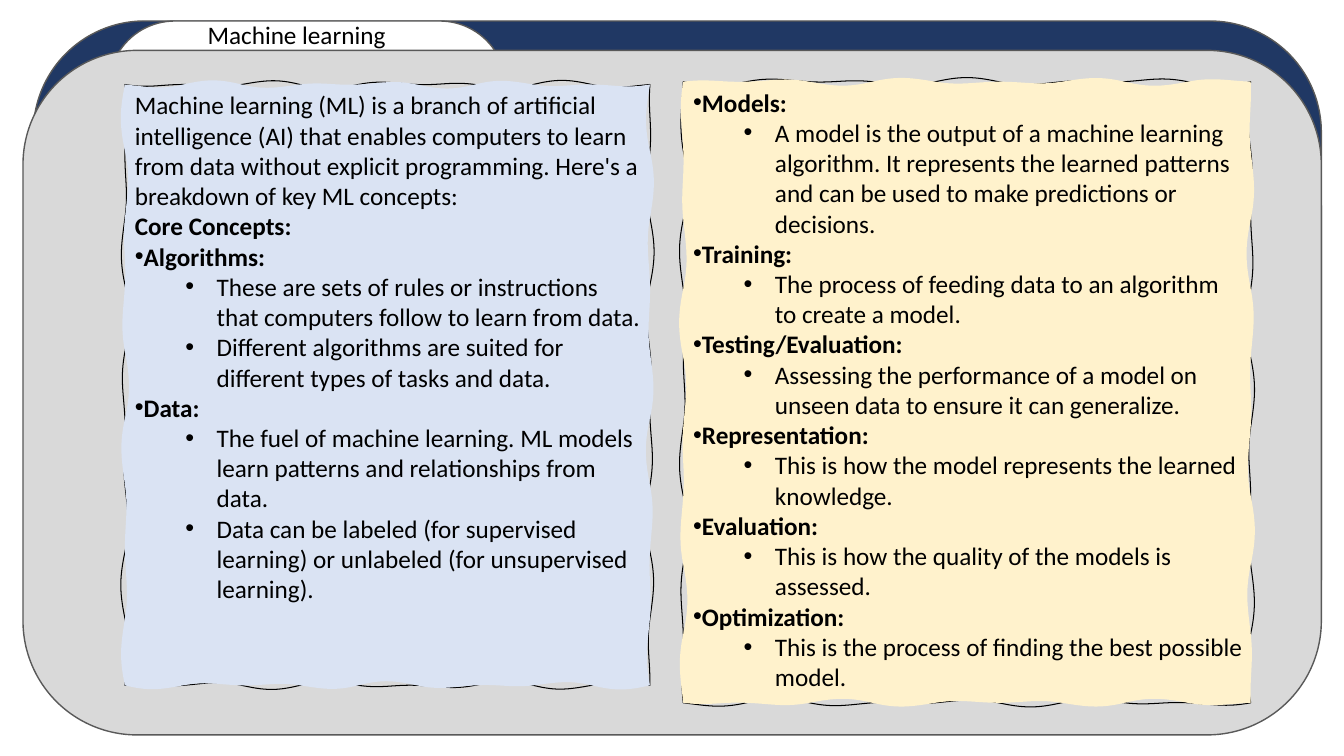
"""Build the machine learning slide with two torn-paper panels."""
from copy import deepcopy
from math import sin

from lxml.etree import SubElement
from pptx import Presentation
from pptx.dml.color import RGBColor
from pptx.enum.shapes import MSO_SHAPE
from pptx.enum.text import MSO_ANCHOR, PP_ALIGN
from pptx.oxml.ns import qn
from pptx.util import Cm, Pt

BLACK = RGBColor(0, 0, 0)
WHITE = RGBColor(255, 255, 255)
NAVY = RGBColor(0x20, 0x38, 0x64)
SILVER = RGBColor(0xD9, 0xD9, 0xD9)
GRAY = RGBColor(0x59, 0x59, 0x59)
BLUE = RGBColor(0xDA, 0xE3, 0xF3)
CREAM = RGBColor(0xFF, 0xF2, 0xCC)

TITLE = "Machine learning"
CARDS = [
    ((0.84, 0.53, 32.46, 16.84), NAVY),
    ((2.74, 0.53, 10.01, 17.93), WHITE),
    ((0.58, 1.27, 32.72, 17.25), SILVER),
]
BASICS = [
    ("plain", "Machine learning (ML) is a branch of artificial intelligence (AI) that enables "
              "computers to learn from data without explicit programming. Here's a breakdown "
              "of key ML concepts:"),
    ("bold", "Core Concepts:"),
    ("head", "Algorithms:"),
    ("item", "These are sets of rules or instructions that computers follow to learn from data."),
    ("item", "Different algorithms are suited for different types of tasks and data."),
    ("head", "Data:"),
    ("item", "The fuel of machine learning. ML models learn patterns and relationships from data."),
    ("item", "Data can be labeled (for supervised learning) or unlabeled "
             "(for unsupervised learning)."),
]
STEPS = [
    ("head", "Models:"),
    ("item", "A model is the output of a machine learning algorithm. It represents the learned "
             "patterns and can be used to make predictions or decisions."),
    ("head", "Training:"),
    ("item", "The process of feeding data to an algorithm to create a model."),
    ("head", "Testing/Evaluation:"),
    ("item", "Assessing the performance of a model on unseen data to ensure it can generalize."),
    ("head", "Representation:"),
    ("item", "This is how the model represents the learned knowledge."),
    ("head", "Evaluation:"),
    ("item", "This is how the quality of the models is assessed."),
    ("head", "Optimization:"),
    ("item", "This is the process of finding the best possible model."),
]
PANELS = [
    ((3.15, 2.13, 13.23, 15.14), BLUE, BASICS),
    ((17.22, 2.06, 14.3, 15.65), CREAM, STEPS),
]
WAVE = 0.15
PARTS = 9


def write(para, text, bold=False, bullet=False, level=0, align=PP_ALIGN.LEFT):
    run = para.add_run()
    run.text = text
    run.font.name, run.font.size, run.font.bold = "Calibri", Pt(18), bold
    run.font.color.rgb = BLACK
    para.alignment = align
    para.level = level
    if bullet:
        props = para._p.get_or_add_pPr()
        props.set("marL", str(Cm(2.06 * level)))
        props.set("indent", str(Cm(-0.79 * level)))
        SubElement(props, qn("a:buFont")).set("typeface", "Arial")
        SubElement(props, qn("a:buChar")).set("char", "•")


def fray(track, width, height, seed):
    for node in list(track)[1:]:
        track.remove(node)
    ends = [(0, 0), (width, 0), (width, height), (0, height), (0, 0)]
    for side in range(4):
        (x, y), (to_x, to_y) = ends[side:side + 2]
        for step in range(PARTS):
            turn = seed + 2.4 * (side * PARTS + step)
            curve = SubElement(track, qn("a:cubicBezTo"))
            for part, off in ((0.4, -sin(turn - 2.4)), (0.6, sin(turn)), (1, 0)):
                ratio = (step + part) / PARTS
                shift = WAVE * off
                spot = SubElement(curve, qn("a:pt"))
                spot.set("x", str(Cm(x + (to_x - x) * ratio + shift * (side % 2))))
                spot.set("y", str(Cm(y + (to_y - y) * ratio + shift * (1 - side % 2))))
    SubElement(track, qn("a:close"))


def panel(shapes, box, color, lines, seed):
    left, top, width, height = box
    right, base = left + width, top + height
    pen = shapes.build_freeform(Cm(left), Cm(top), scale=1.0)
    pen.add_line_segments([(Cm(right), Cm(top)), (Cm(right), Cm(base)), (Cm(left), Cm(base))])
    page = pen.convert_to_shape()
    page.shadow.inherit = False
    page.fill.solid()
    page.fill.fore_color.rgb = color
    page.line.color.rgb = BLACK
    page.line.width = Pt(0.75)
    edge = next(page._element.iter(qn("a:path")))
    body = deepcopy(edge)
    edge.addnext(body)
    edge.set("fill", "none")
    body.set("stroke", "0")
    fray(edge, width, height, seed)
    fray(body, width, height, seed + 2)

    frame = page.text_frame
    frame.word_wrap = True
    frame.vertical_anchor = MSO_ANCHOR.TOP
    frame.margin_left, frame.margin_right = Cm(0.25), Cm(0.2)
    frame.margin_top = frame.margin_bottom = Cm(0.13)
    for spot, (kind, text) in enumerate(lines):
        para = frame.add_paragraph() if spot else frame.paragraphs[0]
        write(para, text, bold=kind in ("bold", "head"),
              bullet=kind in ("head", "item"), level=int(kind == "item"))


def main():
    deck = Presentation()
    deck.slide_width, deck.slide_height = Cm(33.87), Cm(19.05)
    shapes = deck.slides.add_slide(deck.slide_layouts[6]).shapes
    group = shapes.add_group_shape()
    for box, color in CARDS:
        card = group.shapes.add_shape(MSO_SHAPE.ROUNDED_RECTANGLE, *map(Cm, box))
        card.shadow.inherit = False
        card.fill.solid()
        card.fill.fore_color.rgb = color
        card.line.color.rgb = GRAY
        card.line.width = Pt(1)
    title = shapes.add_textbox(Cm(4.87), Cm(0.36), Cm(5.21), Cm(1.8)).text_frame
    title.word_wrap = True
    write(title.paragraphs[0], TITLE, align=PP_ALIGN.CENTER)
    for seed, (box, color, lines) in enumerate(PANELS):
        panel(shapes, box, color, lines, seed)
    deck.save("out.pptx")


if __name__ == "__main__":
    main()
